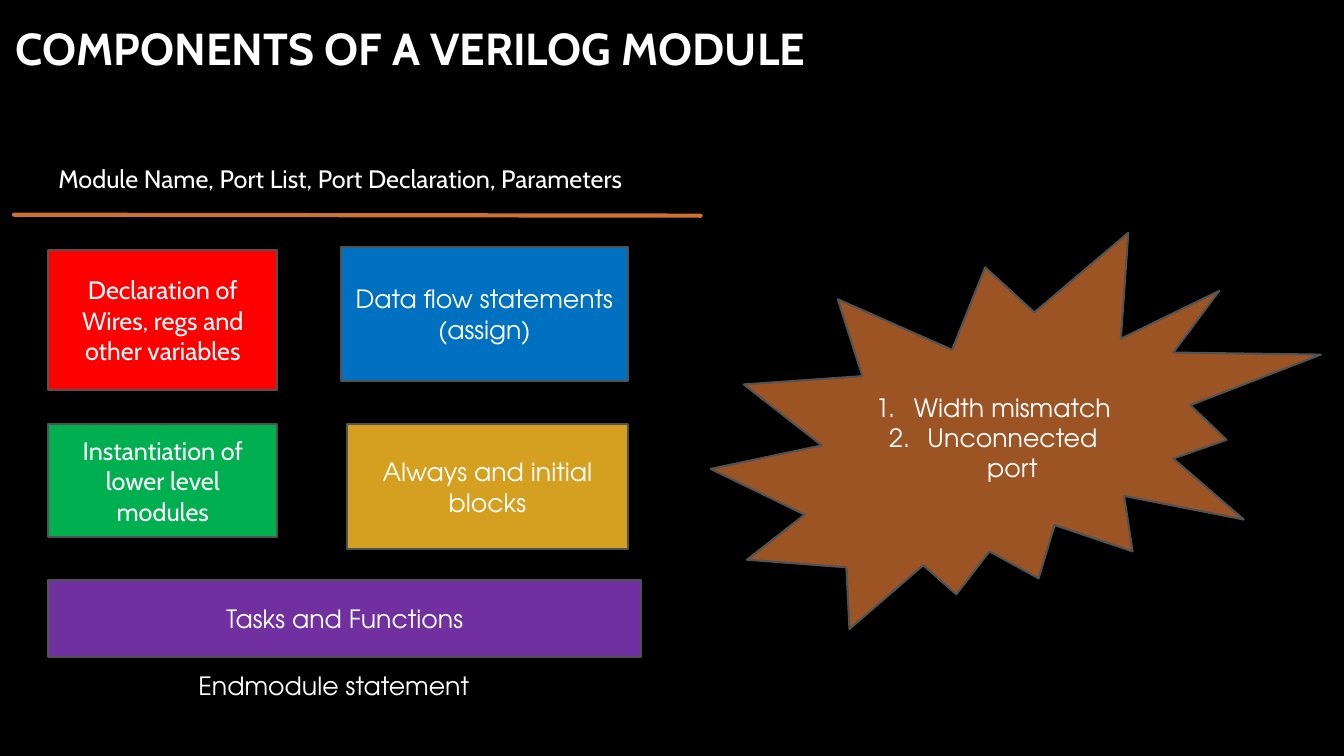
"""Builds a slide that maps the components of a Verilog module."""
from dataclasses import dataclass

from lxml import etree
from pptx import Presentation
from pptx.dml.color import RGBColor
from pptx.enum.shapes import MSO_CONNECTOR, MSO_SHAPE
from pptx.enum.text import MSO_ANCHOR, PP_ALIGN
from pptx.oxml.ns import qn
from pptx.util import Inches, Pt

RECTANGLE = MSO_SHAPE.RECTANGLE
BURST = MSO_SHAPE.EXPLOSION2
STRAIGHT = MSO_CONNECTOR.STRAIGHT
MIDDLE, TOP = MSO_ANCHOR.MIDDLE, MSO_ANCHOR.TOP
CENTER, LEFT = PP_ALIGN.CENTER, PP_ALIGN.LEFT


@dataclass(frozen=True)
class Theme:
    black: str = "000000"
    white: str = "FFFFFF"
    outline: str = "525252"
    rule: str = "CF7133"
    red: str = "FF0000"
    green: str = "00B050"
    blue: str = "0070C0"
    gold: str = "D59F20"
    purple: str = "7030A0"
    brown: str = "9D5425"
    humanist: str = "Cabin"
    geometric: str = "TeX Gyre Adventor"
    title_size: int = 32
    body_size: int = 18
    outline_width: float = 1.5
    rule_width: int = 3


theme = Theme()
deck = Presentation()
deck.slide_width, deck.slide_height = Inches(13.33), Inches(7.5)
page = deck.slides.add_slide(deck.slide_layouts[6])
page.background.fill.solid()
page.background.fill.fore_color.rgb = RGBColor.from_string(theme.black)


def place(*shares):
    """Turn alternating percentages of slide width and height into lengths."""
    sides = (deck.slide_width, deck.slide_height) * 2
    return [int(side * share / 100) for side, share in zip(sides, shares)]


def write(box, paragraphs, font, size=theme.body_size, bold=False, align=CENTER, anchor=MIDDLE):
    """Fill a box with paragraphs, each given as a list of lines."""
    frame = box.text_frame
    frame.word_wrap = True
    frame.vertical_anchor = anchor
    for index, lines in enumerate(paragraphs):
        para = frame.add_paragraph() if index else frame.paragraphs[0]
        para.alignment = align
        for number, line in enumerate(lines):
            if number:
                para.add_line_break()
            span = para.add_run()
            span.text = line
            span.font.name = font
            span.font.size = Pt(size)
            span.font.bold = bold
            span.font.color.rgb = RGBColor.from_string(theme.white)


title = page.shapes.add_textbox(*place(0.45, 0, 81.25, 12.53))
write(title, [["COMPONENTS OF A VERILOG MODULE"]], theme.humanist, theme.title_size, True, LEFT)

left_column, left_width = 3.6, 17.03
lower_row = 56.13
blocks = [
    (RECTANGLE, (1.05, 17.2, 51.1, 77.33), theme.black, theme.black, theme.humanist, []),
    (RECTANGLE, (left_column, 33.07, left_width, 18.53), theme.red, theme.outline, theme.humanist,
     [["Declaration of Wires, regs and other variables"]]),
    (RECTANGLE, (left_column, lower_row, left_width, 14.93), theme.green, theme.outline, theme.humanist,
     [["Instantiation of lower level modules"]]),
    (RECTANGLE, (25.35, 32.67, 21.38, 17.73), theme.blue, theme.outline, theme.geometric,
     [["Data flow statements", "(assign)"]]),
    (RECTANGLE, (25.8, lower_row, 20.93, 16.53), theme.gold, theme.outline, theme.geometric,
     [["Always and initial blocks"]]),
    (RECTANGLE, (left_column, 76.67, 44.1, 10.27), theme.purple, theme.outline, theme.geometric,
     [["Tasks and Functions"]]),
    (BURST, (52.88, 30.8, 45.38, 52.4), theme.brown, theme.outline, theme.geometric,
     [["Width mismatch"], ["Unconnected port"]]),
]
for kind, shares, fill, outline, font, paragraphs in blocks:
    block = page.shapes.add_shape(kind, *place(*shares))
    block.shadow.inherit = False
    block.fill.solid()
    block.fill.fore_color.rgb = RGBColor.from_string(fill)
    block.line.color.rgb = RGBColor.from_string(outline)
    block.line.width = Pt(theme.outline_width)
    write(block, paragraphs, font)
    if kind == BURST:
        for para in block.text_frame.paragraphs:
            properties = para._p.get_or_add_pPr()
            properties.set("marL", str(Inches(0.38)))
            properties.set("indent", str(-Inches(0.38)))
            etree.SubElement(properties, qn("a:buFont"), typeface="+mj-lt")
            etree.SubElement(properties, qn("a:buAutoNum"), type="arabicPeriod")

rule = page.shapes.add_connector(STRAIGHT, *place(1.05, 28.4, 52.13, 28.53))
rule.line.color.rgb = RGBColor.from_string(theme.rule)
rule.line.width = Pt(theme.rule_width)
rule_properties = rule._element.spPr
rule_properties.find(qn("a:ln")).set("cap", "rnd")
etree.SubElement(rule_properties, qn("a:effectLst"))

labels = [
    ((left_column, 20.93, 58.35, 5.33), theme.humanist,
     "Module Name, Port List, Port Declaration, Parameters"),
    ((14.03, 88, 41.4, 5.33), theme.geometric, "Endmodule statement"),
]
for shares, font, text in labels:
    label = page.shapes.add_textbox(*place(*shares))
    write(label, [[text]], font, align=LEFT, anchor=TOP)

deck.save("out.pptx")
